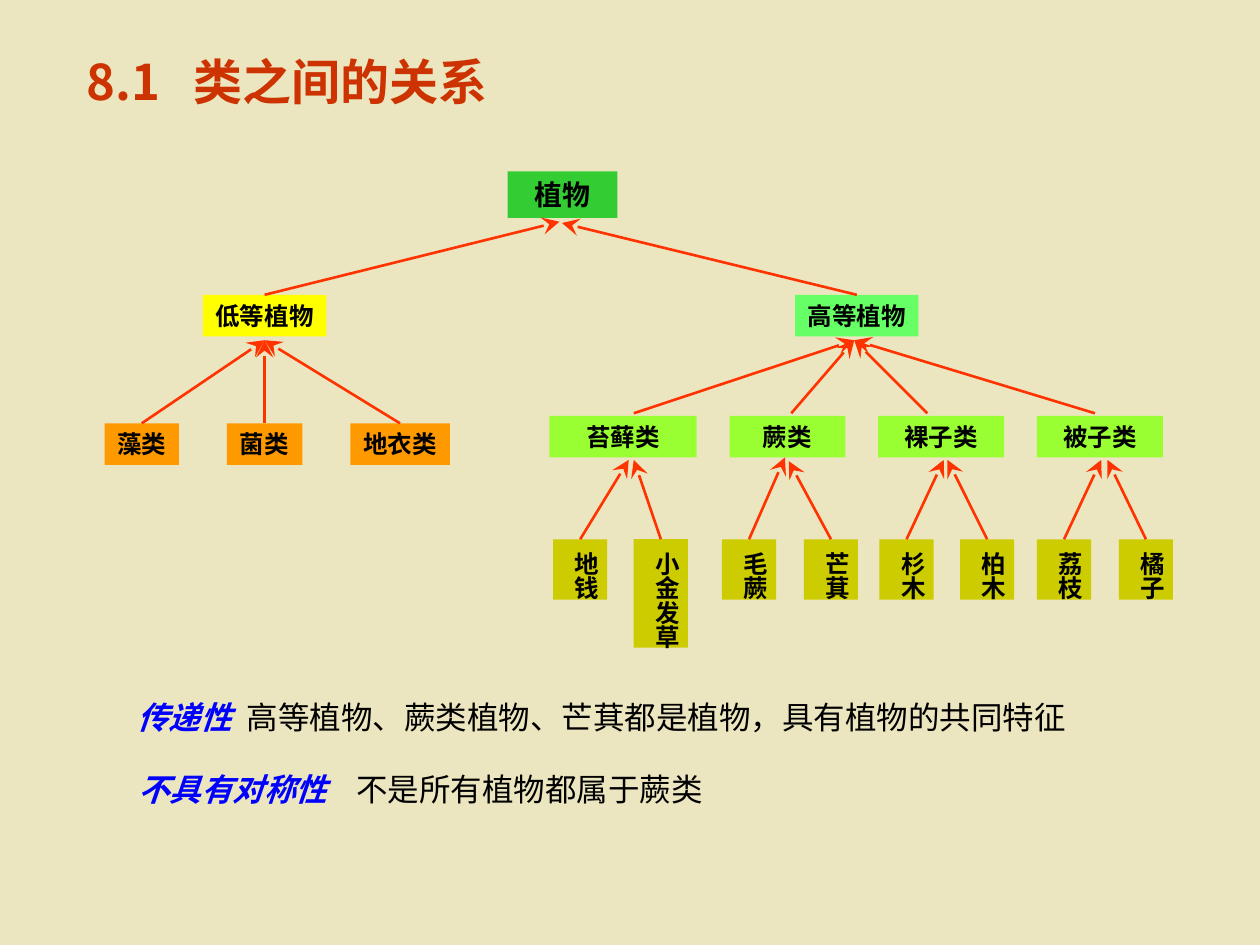
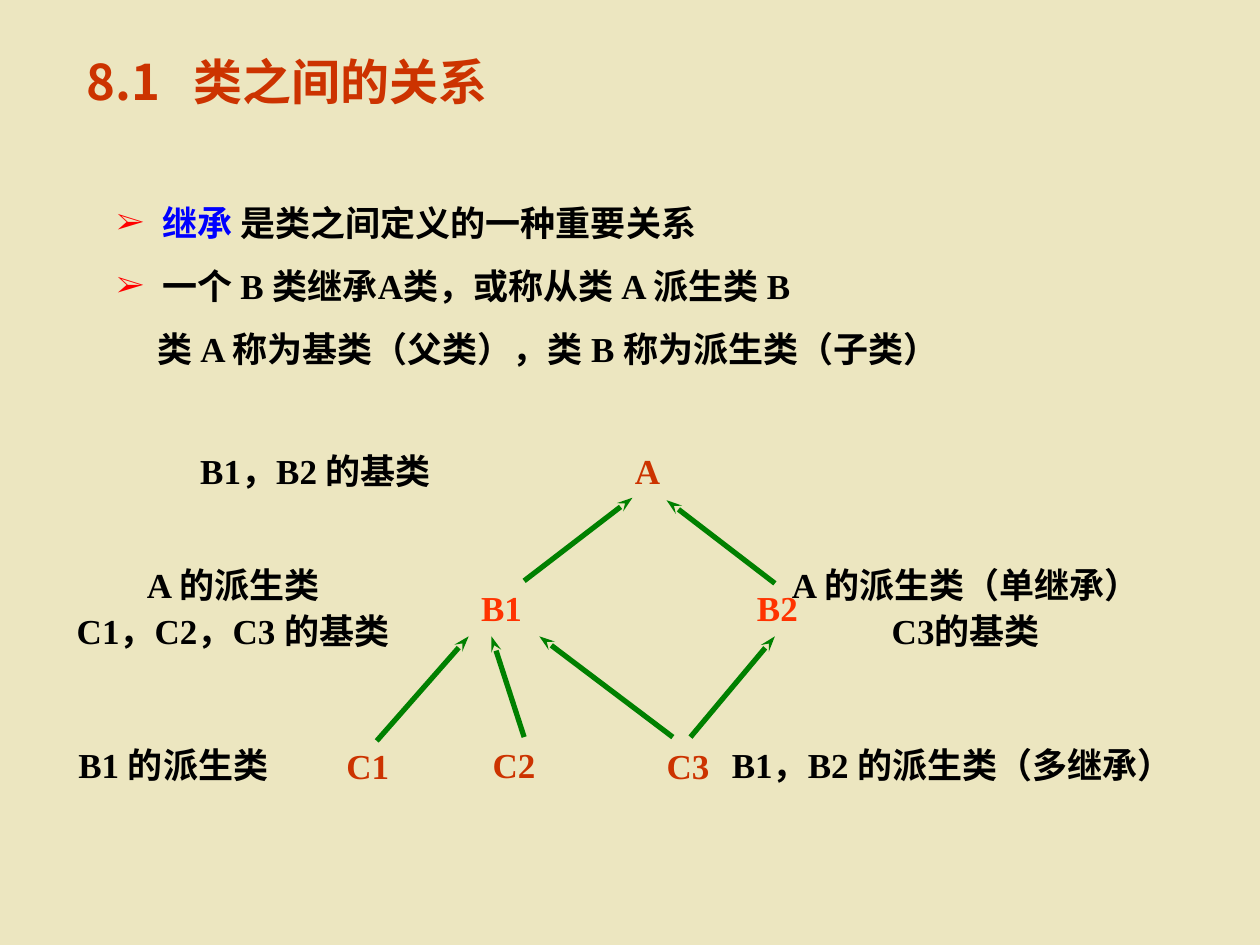
import pptx
import pptx.util
import pptx.dml.color
import pptx.enum.shapes
import pptx.enum.text
import pptx.oxml.ns
import lxml.etree

RGB = pptx.dml.color.RGBColor
SAND = RGB(0xEC, 0xE6, 0xC0)
RUST = RGB(0xCC, 0x33, 0x00)
FLAME = RGB(0xFF, 0x33, 0x00)
RED = RGB(0xFF, 0x00, 0x00)
BLUE = RGB(0x00, 0x00, 0xFF)
BLACK = RGB(0x00, 0x00, 0x00)
FERN = RGB(0x00, 0x80, 0x00)
GREEN = RGB(0x33, 0xCC, 0x33)
MINT = RGB(0x66, 0xFF, 0x66)
LIME = RGB(0x99, 0xFF, 0x33)
YELLOW = RGB(0xFF, 0xFF, 0x00)
ORANGE = RGB(0xFF, 0x99, 0x00)
OLIVE = RGB(0xCC, 0xCC, 0x00)

HAN = "Noto Sans CJK SC"
ROMAN = "Times New Roman"
SCALE = 9144
MID = pptx.enum.text.MSO_ANCHOR.MIDDLE
TOP = pptx.enum.text.MSO_ANCHOR.TOP
CENTER = pptx.enum.text.PP_ALIGN.CENTER
LEFT = pptx.enum.text.PP_ALIGN.LEFT


def px(*nums):
    return [pptx.util.Emu(round(n * SCALE)) for n in nums]


def node(parent, tag, **attrs):
    name = pptx.oxml.ns.qn("a:" + tag)
    return lxml.etree.SubElement(parent, name, attrs)


def write(shape, lines, size=20, font=ROMAN, color=BLACK, bold=True,
          align=CENTER, anchor=TOP, wrap=False, space=None, tab=None, pad=10):
    frame = shape.text_frame
    frame.word_wrap = wrap
    frame.auto_size = pptx.enum.text.MSO_AUTO_SIZE.SHAPE_TO_FIT_TEXT
    frame.vertical_anchor = anchor
    frame.margin_left, frame.margin_right = px(pad, pad)
    for i, line in enumerate(lines):
        para = frame.paragraphs[0] if i == 0 else frame.add_paragraph()
        para.alignment = align
        if space:
            para.line_spacing = space
        if tab:
            stops = node(para._p.get_or_add_pPr(), "tabLst")
            node(stops, "tab", pos=str(tab * SCALE), algn="l")
        for text, style in [(line, {})] if isinstance(line, str) else line:
            run = para.add_run()
            run.text = text
            face = run.font
            face.size = pptx.util.Pt(size)
            face.bold = style.get("bold", bold)
            face.italic = style.get("slant", False)
            face.color.rgb = style.get("color", color)
            face.name = font
            node(run._r.get_or_add_rPr(), "ea", typeface=HAN)
    return shape


def label(slide, spot, lines, **style):
    return write(slide.shapes.add_textbox(*px(*spot)), lines, **style)


def box(slide, spot, text, fill, size=14, tall=False):
    kind = pptx.enum.shapes.MSO_SHAPE.RECTANGLE
    shape = slide.shapes.add_shape(kind, *px(*spot))
    shape.shadow.inherit = False
    shape.fill.solid()
    shape.fill.fore_color.rgb = fill
    shape.line.fill.background()
    if tall:
        shape.text_frame._txBody.bodyPr.set("vert", "eaVert")
    return write(shape, [text], size=size, wrap=not tall, pad=10 if tall else 0)


def arrow(slide, start, tip, color, width, head):
    free = isinstance(start, tuple)
    kind = pptx.enum.shapes.MSO_CONNECTOR.STRAIGHT
    ends = (start if free else tip) + tip
    link = slide.shapes.add_connector(kind, *px(*ends))
    if not free:
        link.begin_connect(start, 0)
    link.line.color.rgb = color
    link.line.width = pptx.util.Pt(width)
    node(link.line._get_or_add_ln(), "tailEnd", type="stealth", w=head[0], len=head[1])
    node(link._element.spPr, "effectLst")


def twig(slide, start, tip):
    arrow(slide, start, tip, FLAME, 1.5, ("lg", "lg"))


def stem(slide, start, tip):
    arrow(slide, start, tip, FERN, 3, ("sm", "med"))


def bullet(para, mark, left):
    props = para._p.get_or_add_pPr()
    props.set("marL", str(left * SCALE))
    props.set("indent", str(-left * SCALE if mark else 0))
    if mark:
        node(node(props, "buClr"), "srgbClr", val=str(RED))
        node(props, "buSzPct", val="85000")
        node(props, "buFont", typeface=ROMAN)
        node(props, "buChar", char=mark)


def page(deck):
    slide = deck.slides.add_slide(deck.slide_layouts[6])
    slide.background.fill.solid()
    slide.background.fill.fore_color.rgb = SAND
    label(slide, (59, 36, 608, 67), ["8.1\t类之间的关系"], size=28, font=HAN,
          color=RUST, align=LEFT, wrap=True, tab=85)
    return slide


def plants(deck):
    slide = page(deck)
    box(slide, (403, 136, 87, 37), "植物", GREEN, size=16)
    low = box(slide, (161, 234, 98, 33), "低等植物", YELLOW)
    high = box(slide, (631, 234, 98, 33), "高等植物", MINT)
    twig(slide, low, (444, 176))
    twig(slide, high, (446, 177))

    for text, x, w in [("藻类", 83, 59), ("菌类", 180, 60), ("地衣类", 278, 79)]:
        twig(slide, box(slide, (x, 336, w, 33), text, ORANGE), (210, 270))

    groups = [
        ("苔藓类", 436, 117, 503, [("地钱", 439, (499, 365)), ("小金发草", 503, (503, 365))]),
        ("蕨类", 579, 92, 628, [("毛蕨", 573, (623, 363)), ("芒萁", 638, (626, 366))]),
        ("裸子类", 697, 100, 736, [("杉木", 698, (749, 365)), ("柏木", 762, (752, 365))]),
        ("被子类", 823, 100, 869, [("荔枝", 823, (874, 365)), ("橘子", 888, (879, 365))]),
    ]
    for text, x, w, start, leaves in groups:
        box(slide, (x, 330, w, 33), text, LIME)
        twig(slide, (start, 328), (678, 270))
        for name, left, tip in leaves:
            tall = 48 if len(name) == 2 else 86
            leaf = box(slide, (left, 428, 43, tall), name, OLIVE, tall=True)
            twig(slide, leaf, tip)

    key = dict(color=BLUE, slant=True)
    plain = dict(bold=False)
    notes = [
        ((99, 549, 770, 40), "传递性", "高等植物、蕨类植物、芒萁都是植物，具有植物的共同特征", 87),
        ((100, 606, 495, 40), "不具有对称性", "不是所有植物都属于蕨类", 173),
    ]
    for spot, term, text, tab in notes:
        label(slide, spot, [[(term, key), ("\t" + text, plain)]], size=18,
              font=HAN, align=LEFT, wrap=True, tab=tab)


def classes(deck):
    slide = page(deck)
    lines = [
        [("继承", dict(color=BLUE)), (" 是类之间定义的一种重要关系", {})],
        "一个 B 类继承A类，或称从类 A 派生类 B",
        "类 A 称为基类（父类），类 B 称为派生类（子类）",
    ]
    body = label(slide, (83, 138, 781, 160), lines, align=LEFT, anchor=MID,
                 wrap=True, space=1.5)
    for para, mark, left in zip(body.text_frame.paragraphs, "➢➢ ", (36, 36, 32)):
        bullet(para, mark.strip(), left)

    names = [("A", 494, 352, 40, RUST), ("B1", 372, 461, 52, FLAME),
             ("B2", 591, 461, 52, FLAME), ("C1", 265, 586, 54, RUST),
             ("C2", 381, 585, 54, RUST), ("C3", 519, 586, 54, RUST)]
    for name, x, y, w, color in names:
        label(slide, (x, y, w, 43), [name], color=color, anchor=MID,
              wrap=True, pad=0)

    stems = [((299, 588), (372, 505)), ((416, 585), (390, 505)),
             ((534, 585), (428, 505)), ((548, 585), (615, 505)),
             ((416, 461), (502, 395)), ((615, 463), (529, 397))]
    for start, tip in stems:
        stem(slide, start, tip)

    roles = [
        ((149, 352, 203, 43), ["B1，B2 的基类"], None),
        ((51, 439, 268, 83), ["A 的派生类", "C1，C2，C3 的基类"], 1.1),
        ((618, 439, 297, 83), ["A 的派生类（单继承）", "C3的基类"], 1.1),
        ((52, 585, 171, 43), ["B1 的派生类"], None),
        ((571, 585, 370, 43), ["B1，B2 的派生类（多继承）"], None),
    ]
    for spot, text, space in roles:
        label(slide, spot, text, wrap=True, space=space)


def main():
    deck = pptx.Presentation()
    deck.slide_width, deck.slide_height = px(1000, 750)
    plants(deck)
    classes(deck)
    deck.save("out.pptx")


if __name__ == "__main__":
    main()
